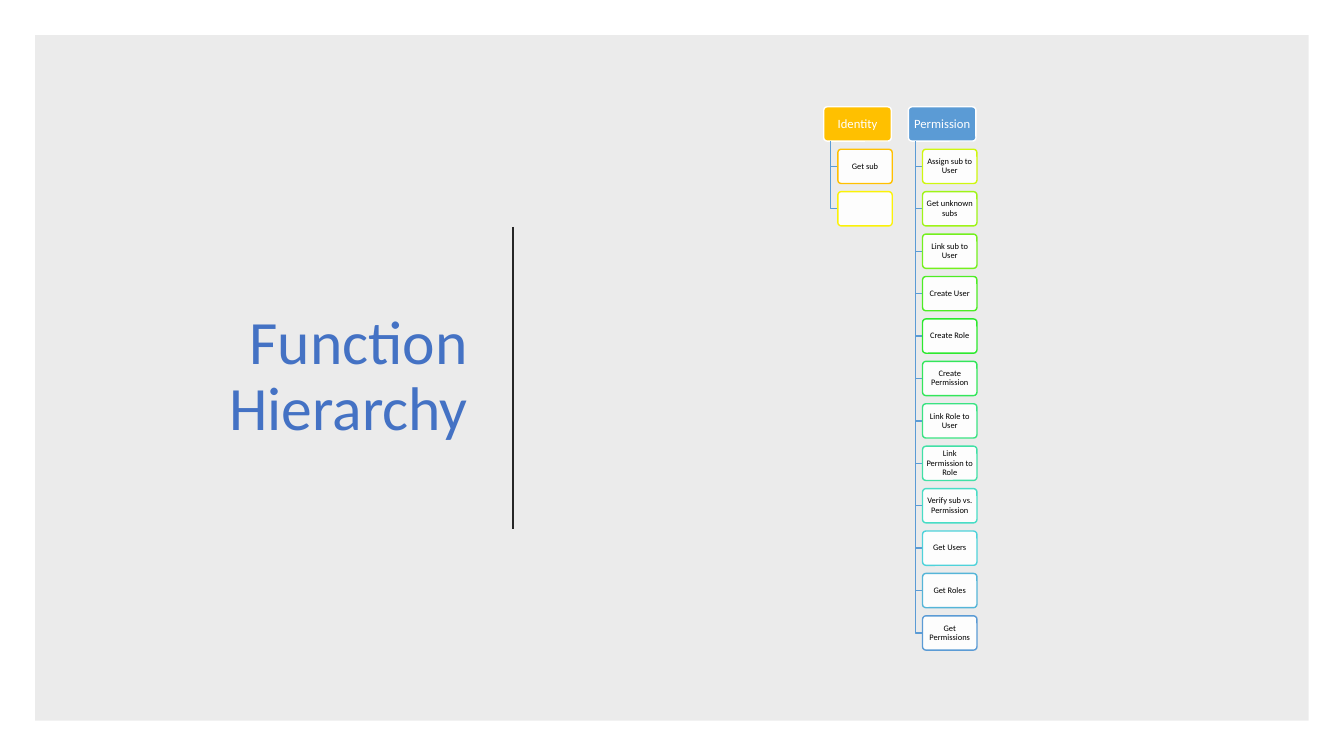
from dataclasses import dataclass

from lxml.etree import SubElement
from pptx import Presentation
from pptx.dml.color import RGBColor
from pptx.enum.shapes import MSO_CONNECTOR as Connector, MSO_SHAPE as Shape
from pptx.enum.text import MSO_ANCHOR as Anchor, PP_ALIGN as Align
from pptx.oxml.ns import qn
from pptx.util import Inches, Pt


@dataclass(frozen=True)
class Theme:
    font: str = "Calibri"
    title_size: float = 44
    header_size: float = 9
    item_size: float = 6
    white: str = "FFFFFF"
    black: str = "000000"
    title: str = "4472C4"
    divider: str = "262626"
    branch: str = "5B9BD5"
    panel_opacity: int = 8
    card_opacity: int = 90
    divider_width: float = 1.5
    card_width: float = 1


@dataclass(frozen=True)
class TreeGrid:
    """Lengths in inches; a row holds one card and the gap below it."""
    left: float = 8.17
    top: float = 1.06
    column: float = 0.84
    row: float = 5.05 / 12
    header_width: float = 0.67
    item_width: float = 0.54
    height: float = 0.34
    indent: float = 0.14

    def x(self, column):
        return self.left + column * self.column

    def y(self, row):
        return self.top + row * self.row


class SlideBuilder:
    def __init__(self, slide, theme, grid):
        self.slide, self.theme, self.grid = slide, theme, grid

    def paint(self, shape, color, opacity=100):
        shape.shadow.inherit = False
        shape.fill.solid()
        shape.fill.fore_color.rgb = RGBColor.from_string(color)
        if opacity < 100:
            color_node = shape._element.spPr.find(qn("a:solidFill"))[0]
            SubElement(color_node, qn("a:alpha"), val=str(opacity * 1000))

    def outline(self, shape, color, width):
        shape.line.color.rgb = RGBColor.from_string(color)
        shape.line.width = Pt(width)

    def add_text(self, shape, text, size, color, align, inset):
        frame = shape.text_frame
        frame.word_wrap = True
        frame.vertical_anchor = Anchor.MIDDLE
        frame.margin_left = frame.margin_right = Inches(inset)
        frame.margin_top = frame.margin_bottom = Inches(inset / 2)
        paragraph = frame.paragraphs[0]
        paragraph.alignment = align
        paragraph.line_spacing = 0.9
        run = paragraph.add_run()
        run.text = text
        run.font.name = self.theme.font
        run.font.size = Pt(size)
        run.font.color.rgb = RGBColor.from_string(color)

    def panel(self, left, top, width, height):
        shape = self.slide.shapes.add_shape(
            Shape.RECTANGLE, *map(Inches, (left, top, width, height)))
        self.paint(shape, self.theme.black, self.theme.panel_opacity)
        shape.line.fill.background()

    def title(self, text, left, top, width, height):
        box = self.slide.shapes.add_textbox(
            *map(Inches, (left, top, width, height)))
        self.add_text(box, text, self.theme.title_size, self.theme.title,
                      Align.RIGHT, 0.1)

    def divider(self, x, top, bottom):
        line = self.slide.shapes.add_connector(
            Connector.STRAIGHT, *map(Inches, (x, top, x, bottom)))
        self.outline(line, self.theme.divider, self.theme.divider_width)
        SubElement(line._element.spPr, qn("a:effectLst"))

    def card(self, left, row, width, fill, opacity, line):
        shape = self.slide.shapes.add_shape(
            Shape.ROUNDED_RECTANGLE, Inches(left), Inches(self.grid.y(row)),
            Inches(width), Inches(self.grid.height))
        shape.adjustments[0] = 0.1
        self.paint(shape, fill, opacity)
        self.outline(shape, line, self.theme.card_width)
        return shape

    def header(self, column, text, color):
        shape = self.card(self.grid.x(column), 0, self.grid.header_width,
                          color, 100, self.theme.white)
        self.add_text(shape, text, self.theme.header_size, self.theme.white,
                      Align.CENTER, 0.02)

    def branch(self, column, row):
        grid = self.grid
        left = grid.x(column)
        trunk = Inches(left + grid.indent / 2)
        middle = Inches(grid.y(row) + grid.height / 2)
        elbow = self.slide.shapes.build_freeform(
            trunk, Inches(grid.top + grid.height))
        elbow.add_line_segments(
            [(trunk, middle), (Inches(left + grid.indent), middle)], close=False)
        shape = elbow.convert_to_shape()
        shape.shadow.inherit = False
        shape.fill.background()
        self.outline(shape, self.theme.branch, self.theme.card_width)

    def item(self, column, row, text, color):
        shape = self.card(self.grid.x(column) + self.grid.indent, row,
                          self.grid.item_width, self.theme.white,
                          self.theme.card_opacity, color)
        if text:
            self.add_text(shape, text, self.theme.item_size, self.theme.black,
                          Align.CENTER, 0.01)


# Each function group: header, header colour, items with outline colours
FUNCTION_GROUPS = [
    ("Identity", "FFC000", [("Get sub", "FFC000"), ("", "FBF208")]),
    ("Permission", "5B9BD5", [
        ("Assign sub to User", "CFF70F"),
        ("Get unknown subs", "9FF417"),
        ("Link sub to User", "74F01E"),
        ("Create User", "4DEC25"),
        ("Create Role", "2CE92E"),
        ("Create Permission", "33E65B"),
        ("Link Role to User", "3AE383"),
        ("Link Permission to Role", "41E0A6"),
        ("Verify sub vs. Permission", "48DDC6"),
        ("Get Users", "4ED2DA"),
        ("Get Roles", "55B5D8"),
        ("Get Permissions", "5B9BD5"),
    ]),
]

presentation = Presentation()
presentation.slide_width, presentation.slide_height = Inches(13.33), Inches(7.5)
slide = presentation.slides.add_slide(presentation.slide_layouts[6])
builder = SlideBuilder(slide, Theme(), TreeGrid())

# Background panel, title and divider
builder.panel(0.35, 0.35, 12.63, 6.8)
builder.title("Function Hierarchy", 0.92, 1.05, 3.82, 5.39)
builder.divider(5.09, 2.25, 5.25)

# Function tree
for column, (name, color, items) in enumerate(FUNCTION_GROUPS):
    builder.header(column, name, color)
    for row, (label, outline) in enumerate(items, start=1):
        builder.branch(column, row)
        builder.item(column, row, label, outline)

presentation.save("out.pptx")
